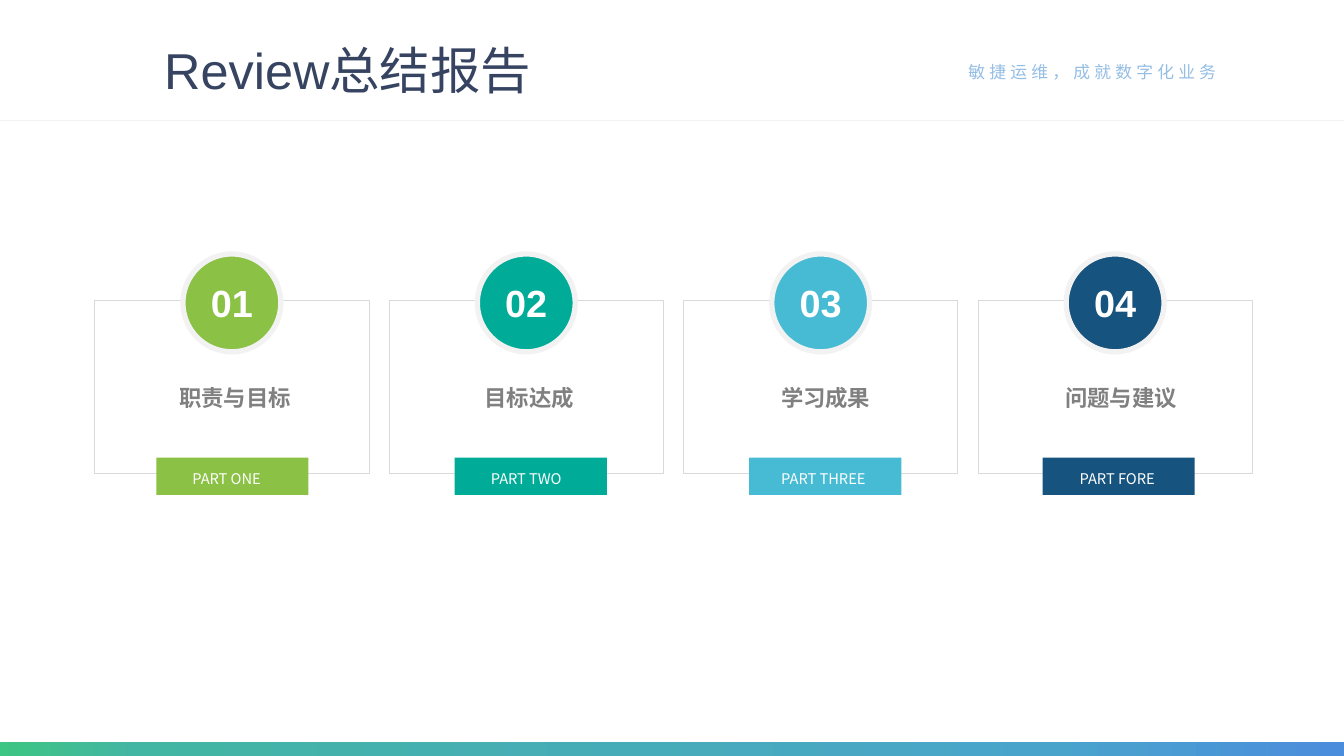
from pptx import Presentation, util as u
from pptx.dml.color import RGBColor
from pptx.enum import shapes, text
from pptx.oxml import parse_xml
from pptx.oxml.ns import nsdecls, qn
from lxml import etree

WIDE, HIGH = 13.33, 7.5
SANS, HAN = "Arial", "Noto Sans CJK SC"
HEAD = "Review总结报告"
MOTTO = "敏捷运维，成就数字化业务"
STOPS = [(0, "3DC583"), (10, "43B6A3"), (78, "49A4CB"), (100, "4B8DDD")]
# number, name, tag, colour, then offsets in the card: name centre, tag, tag text
CARDS = [
    ("01", "职责与目标", "PART ONE", "8BC145", 1.39, 0.61, 0.87),
    ("02", "目标达成", "PART TWO", "00AC98", 1.39, 0.65, 0.91),
    ("03", "学习成果", "PART THREE", "47BBD4", 1.41, 0.65, 0.87),
    ("04", "问题与建议", "PART FORE", "16537F", 1.42, 0.64, 0.91),
]
LEFT, STEP, CARD, DISC = 0.94, 2.92, 2.72, 0.97
LEAD, MID = text.PP_ALIGN.LEFT, text.PP_ALIGN.CENTER
BOX, OVAL = shapes.MSO_SHAPE.RECTANGLE, shapes.MSO_SHAPE.OVAL


def rgb(code):
    """Turn a hex string into a colour."""
    return RGBColor.from_string(code)


def form(slide, kind, at, fill=None, line=None, width=0.5):
    """Add a flat shape with an optional fill and outline."""
    part = slide.shapes.add_shape(kind, *map(u.Inches, at))
    part.shadow.inherit = False
    if fill:
        part.fill.solid()
        part.fill.fore_color.rgb = rgb(fill)
    else:
        part.fill.background()
    if line:
        part.line.color.rgb = rgb(line)
        part.line.width = u.Pt(width)
    else:
        part.line.fill.background()
    return part


def write(part, words, size, color, face=HAN, align=LEAD, bold=False,
          pad=(0.1, 0.05), wrap=True, mid=False):
    """Fill a shape with one styled line and return its paragraph."""
    frame = part.text_frame
    frame.text = words
    frame.word_wrap = wrap
    frame.margin_left = frame.margin_right = u.Inches(pad[0])
    frame.margin_top = frame.margin_bottom = u.Inches(pad[1])
    anchor = text.MSO_ANCHOR
    frame.vertical_anchor = anchor.MIDDLE if mid else anchor.TOP
    line = frame.paragraphs[0]
    line.alignment = align
    run = line.runs[0]
    font = run.font
    font.size, font.bold, font.name = u.Pt(size), bold, face
    font.color.rgb = rgb(color)
    etree.SubElement(run._r.get_or_add_rPr(), qn("a:ea")).set("typeface", HAN)
    return line


def label(slide, at, *args, **style):
    """Add a text box with one styled line."""
    return write(slide.shapes.add_textbox(*map(u.Inches, at)), *args, **style)


def frame(slide):
    """Draw the header, its rule and the gradient footer."""
    motto = label(slide, (9.2, 0.56, 3.27, 0.3), MOTTO, 12, "94BEE4", align=MID)
    motto.runs[0]._r.get_or_add_rPr().set("spc", "300")
    foot = form(slide, BOX, (0, 7.36, WIDE, HIGH - 7.36))
    foot.fill.gradient()
    foot.fill.gradient_angle = 0
    stops = "".join(f'<a:gs pos="{pos * 1000}"><a:srgbClr val="{hue}"/></a:gs>'
                    for pos, hue in STOPS)
    old = foot._element.spPr.find(qn("a:gradFill")).find(qn("a:gsLst"))
    old.getparent().replace(
        old, parse_xml(f'<a:gsLst {nsdecls("a")}>{stops}</a:gsLst>'))
    ends = map(u.Inches, (0, 1.19, WIDE, 1.19))
    rule = slide.shapes.add_connector(shapes.MSO_CONNECTOR.STRAIGHT, *ends)
    rule.line.color.rgb = rgb("F2F2F2")
    rule.line.width = u.Pt(0.5)
    etree.SubElement(rule._element.spPr, qn("a:effectLst"))
    head = label(slide, (1.53, 0.41, 10.18, 0.64), HEAD, 36, "364461",
                 face=SANS, mid=True)
    head.line_spacing = 0.9


def card(slide, left, num, name, tag, hue, mid, tab, start):
    """Draw one numbered card with its name and tag."""
    pad = (0.13, 0.07)
    form(slide, BOX, (left, 2.98, CARD, 1.72), line="D9D9D9")
    disc = form(slide, OVAL, (left + (CARD - DISC) / 2, 2.52, DISC, DISC),
                hue, "F2F2F2", 3.75)
    write(disc, num, 27, "FFFFFF", SANS, MID, True, pad, mid=True)
    form(slide, BOX, (left + tab, 4.54, 1.51, 0.37), hue)
    wide = 0.28 + 0.22 * len(name)
    label(slide, (left + mid - wide / 2, 3.74, wide, 0.4), name, 16, "808080",
          align=MID, bold=True, pad=pad, wrap=False)
    label(slide, (left + start, 4.61, 1.12, 0.28), tag, 10.5, "FFFFFF")


def main():
    """Build and save the slide."""
    deck = Presentation()
    deck.slide_width, deck.slide_height = u.Inches(WIDE), u.Inches(HIGH)
    slide = deck.slides.add_slide(deck.slide_layouts[6])
    frame(slide)
    for i, item in enumerate(CARDS):
        card(slide, LEFT + i * STEP, *item)
    deck.save("out.pptx")


if __name__ == "__main__":
    main()
